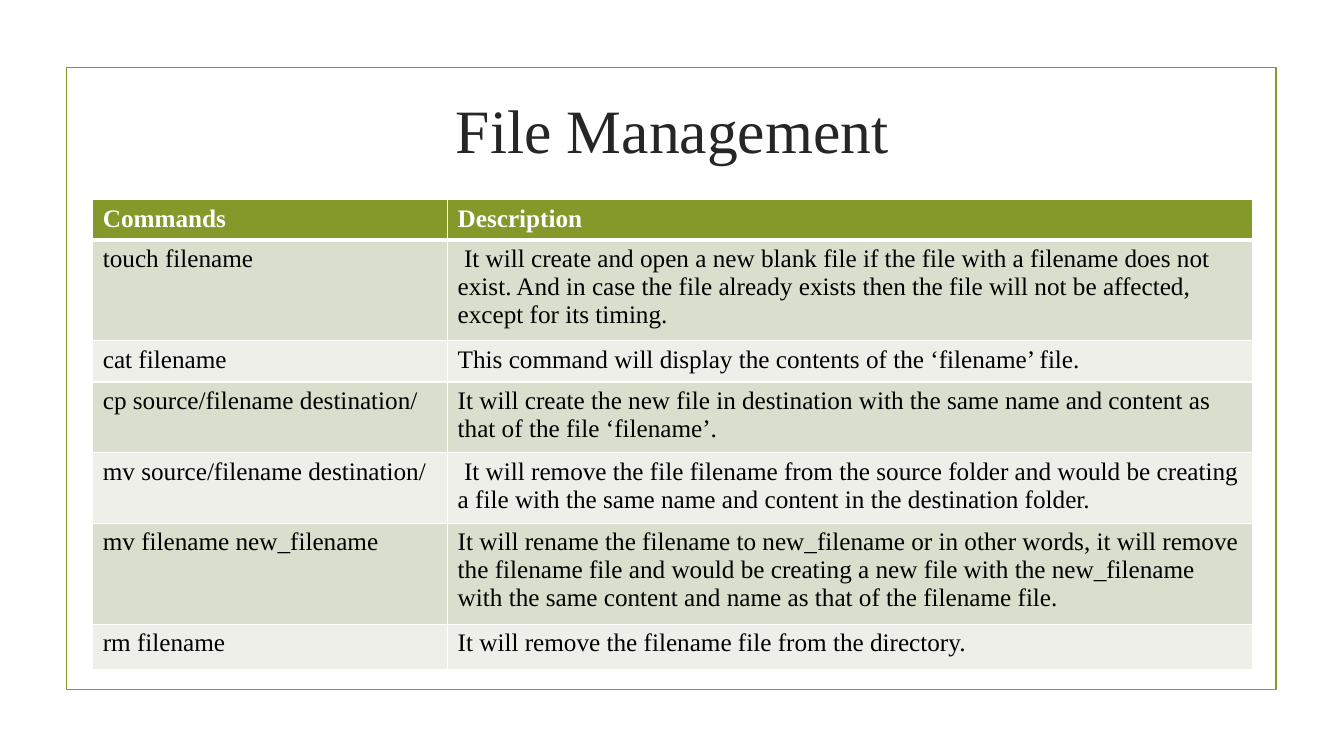
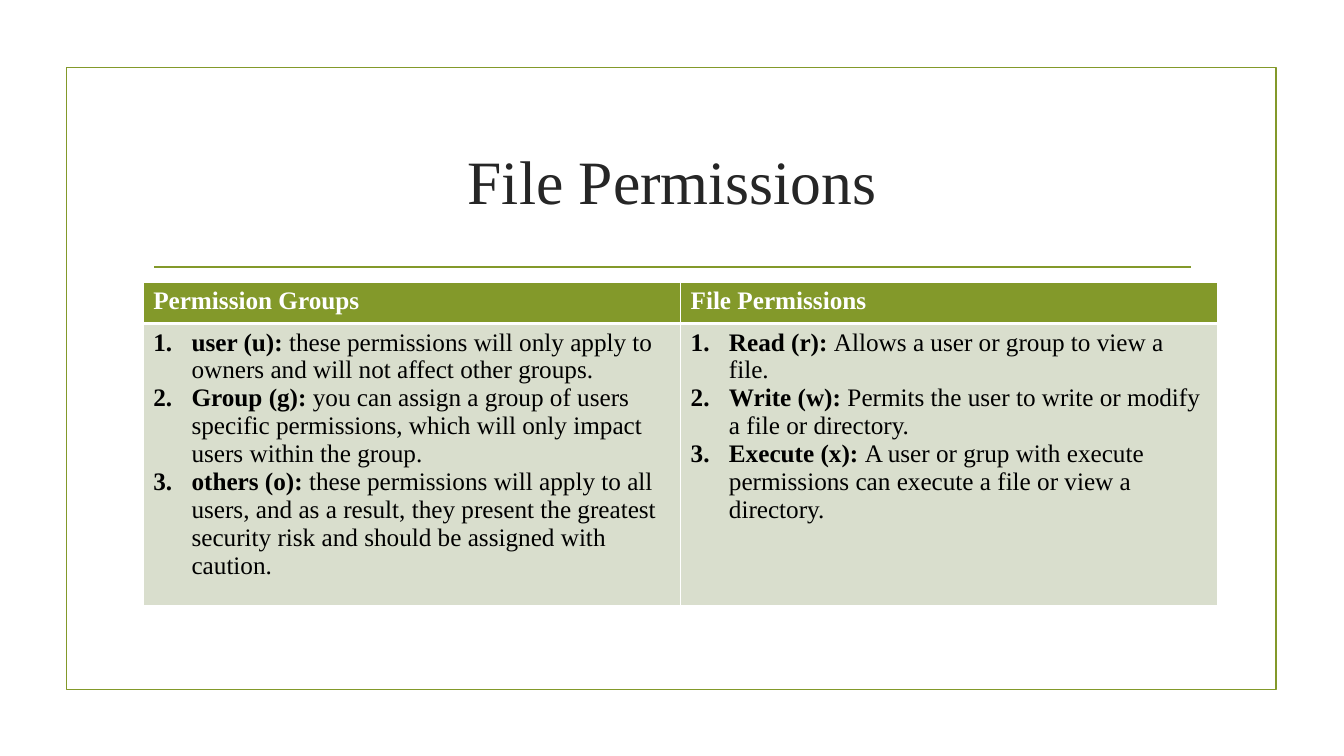
from lxml.etree import SubElement
from pptx import Presentation
from pptx.dml.color import RGBColor
from pptx.enum.shapes import MSO_CONNECTOR, MSO_SHAPE
from pptx.enum.text import MSO_ANCHOR, PP_ALIGN
from pptx.oxml.ns import qn
from pptx.util import Inches, Pt

RECT = MSO_SHAPE.RECTANGLE
LINE = MSO_CONNECTOR.STRAIGHT
MIDDLE = MSO_ANCHOR.MIDDLE
CENTER = PP_ALIGN.CENTER

FONT = "Times New Roman"
GREEN, WHITE, BLACK, GRAY = "83992A", "FFFFFF", "000000", "262626"
BANDS = "D9DECD", "EDEFE8"

GROUPS = [
    ("user (u): ", "these permissions will only apply to owners and will not affect other groups."),
    ("Group (g): ", "you can assign a group of users specific permissions, which will only impact users within the group."),
    ("others (o): ", "these permissions will apply to all users, and as a result, they present the greatest security risk and should be assigned with caution."),
]
RIGHTS = [
    ("Read (r): ", "Allows a user or group to view a file."),
    ("Write (w): ", "Permits the user to write or modify a file or directory."),
    ("Execute (x): ", "A user or grup with execute permissions can execute a file or view a directory."),
]

SLIDES = [
    {
        "title": "File Management", "top": 0.56, "rule": False,
        "at": (0.92, 1.98), "cols": [3.52, 7.98],
        "heights": [0.37, 0.92, 0.41, 0.65, 0.65, 0.98, 0.45],
        "rows": [
            ("Commands", "Description"),
            ("touch filename", " It will create and open a new blank file if the file with a filename does not exist. And in case the file already exists then the file will not be affected, except for its timing."),
            ("cat filename", "This command will display the contents of the ‘filename’ file."),
            ("cp source/filename destination/", "It will create the new file in destination with the same name and content as that of the file ‘filename’."),
            ("mv source/filename destination/", " It will remove the file filename from the source folder and would be creating a file with the same name and content in the destination folder."),
            ("mv filename new_filename", "It will rename the filename to new_filename or in other words, it will remove the filename file and would be creating a new file with the new_filename with the same content and name as that of the filename file."),
            ("rm filename", "It will remove the filename file from the directory."),
        ],
    },
    {
        "title": "File Permissions", "top": 1.07, "rule": True,
        "at": (1.42, 2.8), "cols": [5.33, 5.33], "heights": [0.41, 2.56],
        "rows": [("Permission Groups", "File Permissions"), (GROUPS, RIGHTS)],
    },
]


def rgb(code):
    return RGBColor.from_string(code)


def style(font, size, color):
    font.name = FONT
    font.size = Pt(size)
    font.color.rgb = rgb(color)


def add_frame(slide, rule):
    frame = slide.shapes.add_shape(RECT, Inches(0.66), Inches(0.67), Inches(12), Inches(6.17))
    frame.shadow.inherit = False
    frame.fill.background()
    lines = [frame.line]
    if rule:
        bar = slide.shapes.add_connector(LINE, Inches(1.53), Inches(2.65), Inches(11.81), Inches(2.65))
        SubElement(bar.element.spPr, qn("a:effectLst"))
        lines.append(bar.line)
    for line in lines:
        line.color.rgb = rgb(GREEN)
        line.width = Pt(1.25)


def add_title(slide, text, top):
    box = slide.shapes.add_textbox(Inches(1.42), Inches(top), Inches(10.5), Inches(1.43))
    frame = box.text_frame
    frame.word_wrap = True
    frame.vertical_anchor = MIDDLE
    para = frame.paragraphs[0]
    para.text = text
    para.alignment = CENTER
    style(para.font, 44, GRAY)


def set_border(cell, row):
    props = cell._tc.get_or_add_tcPr()
    widths = {"L": 1, "R": 1, "T": 3 if row == 1 else 1, "B": 3 if row == 0 else 1}
    for side, width in widths.items():
        line = SubElement(props, qn("a:ln" + side), w=str(Pt(width)))
        SubElement(SubElement(line, qn("a:solidFill")), qn("a:srgbClr"), val=WHITE)


def add_list(frame, items):
    for i, (term, text) in enumerate(items):
        para = frame.add_paragraph() if i else frame.paragraphs[0]
        style(para.font, 18, BLACK)
        for part, bold in ((term, True), (text, False)):
            run = para.add_run()
            run.text = part
            run.font.bold = bold
        props = para._p.get_or_add_pPr()
        props.set("marL", str(Inches(0.38)))
        props.set("indent", str(-Inches(0.38)))
        mark = props.makeelement(qn("a:buAutoNum"), {"type": "arabicPeriod"})
        props.insert(0, mark)


def fill_cell(cell, row, value):
    set_border(cell, row)
    cell.fill.solid()
    cell.fill.fore_color.rgb = rgb(BANDS[(row - 1) % 2] if row else GREEN)
    if isinstance(value, list):
        add_list(cell.text_frame, value)
        return
    para = cell.text_frame.paragraphs[0]
    para.text = value
    style(para.font, 18, BLACK if row else WHITE)
    para.font.bold = row == 0


def add_grid(slide, data):
    rows, cols, heights = data["rows"], data["cols"], data["heights"]
    left, top = data["at"]
    table = slide.shapes.add_table(
        len(rows), len(cols), Inches(left), Inches(top),
        Inches(sum(cols)), Inches(sum(heights))).table
    table.horz_banding = False
    for col, width in zip(table.columns, cols):
        col.width = Inches(width)
    for r, (values, height) in enumerate(zip(rows, heights)):
        table.rows[r].height = Inches(height)
        for c, value in enumerate(values):
            fill_cell(table.cell(r, c), r, value)


def main():
    deck = Presentation()
    deck.slide_width, deck.slide_height = Inches(13.33), Inches(7.5)
    for data in SLIDES:
        slide = deck.slides.add_slide(deck.slide_layouts[6])
        add_frame(slide, data["rule"])
        add_title(slide, data["title"], data["top"])
        add_grid(slide, data)
    deck.save("out.pptx")


if __name__ == "__main__":
    main()
